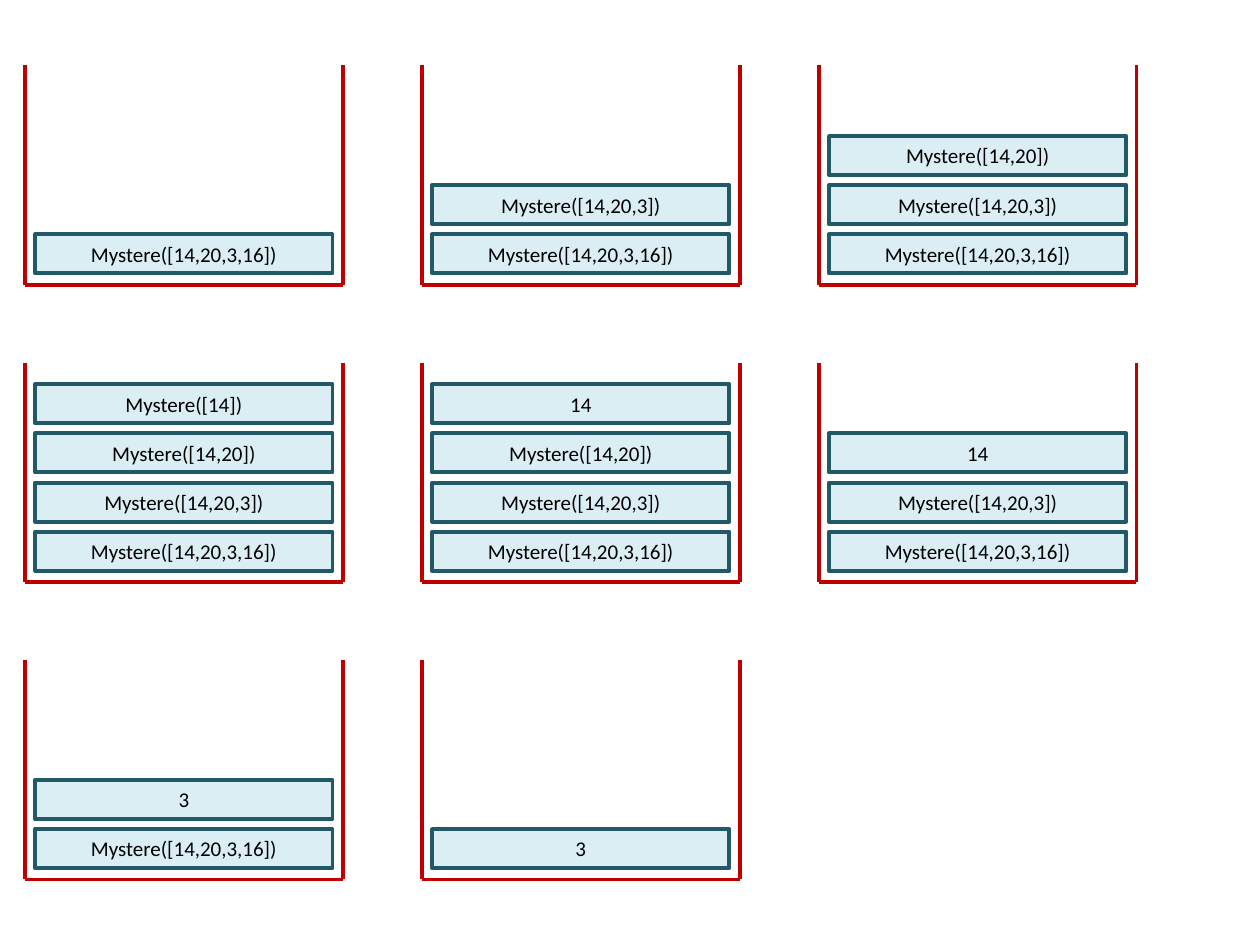
"""Draw the successive states of the call stack of a recursive function."""
from lxml.etree import SubElement
from pptx import Presentation
from pptx.dml.color import RGBColor
from pptx.enum.shapes import MSO_CONNECTOR as Connector, MSO_SHAPE as Shape
from pptx.enum.text import MSO_ANCHOR as Anchor, PP_ALIGN as Align
from pptx.oxml.ns import qn
from pptx.util import Inches, Pt

RED = RGBColor(0xC0, 0x00, 0x00)
TEAL = RGBColor(0x21, 0x59, 0x68)
PALE_BLUE = RGBColor(0xDB, 0xEE, 0xF4)
BLACK = RGBColor(0x00, 0x00, 0x00)

COLUMNS = 3
LEFT, TOP = 0.2, 0.52
COLUMN_PITCH, ROW_PITCH = 3.15, 2.36
STACK_WIDTH, STACK_HEIGHT = 2.52, 1.74
CALL_WIDTH, CALL_HEIGHT = 2.36, 0.31
CALL_INSET, CALL_RISE, CALL_PITCH = 0.08, 0.4, 0.39
LINE_WIDTH = Pt(2.25)

CALLS = ["Mystere([14,20,3,16])", "Mystere([14,20,3])", "Mystere([14,20])", "Mystere([14])"]
STACKS = [CALLS[:depth] for depth in range(1, 5)]
STACKS += [CALLS[:3] + ["14"], CALLS[:2] + ["14"], CALLS[:1] + ["3"], ["3"]]

presentation = Presentation()
presentation.slide_width, presentation.slide_height = Inches(10), Inches(7.5)
slide = presentation.slides.add_slide(presentation.slide_layouts[6])

for index, stack in enumerate(STACKS):
    row, column = divmod(index, COLUMNS)
    left, top = LEFT + column * COLUMN_PITCH, TOP + row * ROW_PITCH
    right, bottom = left + STACK_WIDTH, top + STACK_HEIGHT

    walls = [(left, top, left, bottom), (right, bottom, left, bottom), (right, top, right, bottom)]
    for wall in walls:
        connector = slide.shapes.add_connector(Connector.STRAIGHT, *map(Inches, wall))
        connector.line.color.rgb = RED
        connector.line.width = LINE_WIDTH
        SubElement(connector.element.spPr, qn("a:effectLst"))

    for level, call in enumerate(stack):
        call_top = bottom - CALL_RISE - level * CALL_PITCH
        shape = slide.shapes.add_shape(
            Shape.RECTANGLE,
            *map(Inches, (left + CALL_INSET, call_top, CALL_WIDTH, CALL_HEIGHT)),
        )
        shape.shadow.inherit = False
        shape.fill.solid()
        shape.fill.fore_color.rgb = PALE_BLUE
        shape.line.color.rgb = TEAL
        shape.line.width = LINE_WIDTH
        shape.text_frame.vertical_anchor = Anchor.MIDDLE
        paragraph = shape.text_frame.paragraphs[0]
        paragraph.text = call
        paragraph.alignment = Align.CENTER
        paragraph.font.name = "Calibri"
        paragraph.font.size = Pt(12)
        paragraph.font.color.rgb = BLACK

presentation.save("out.pptx")
